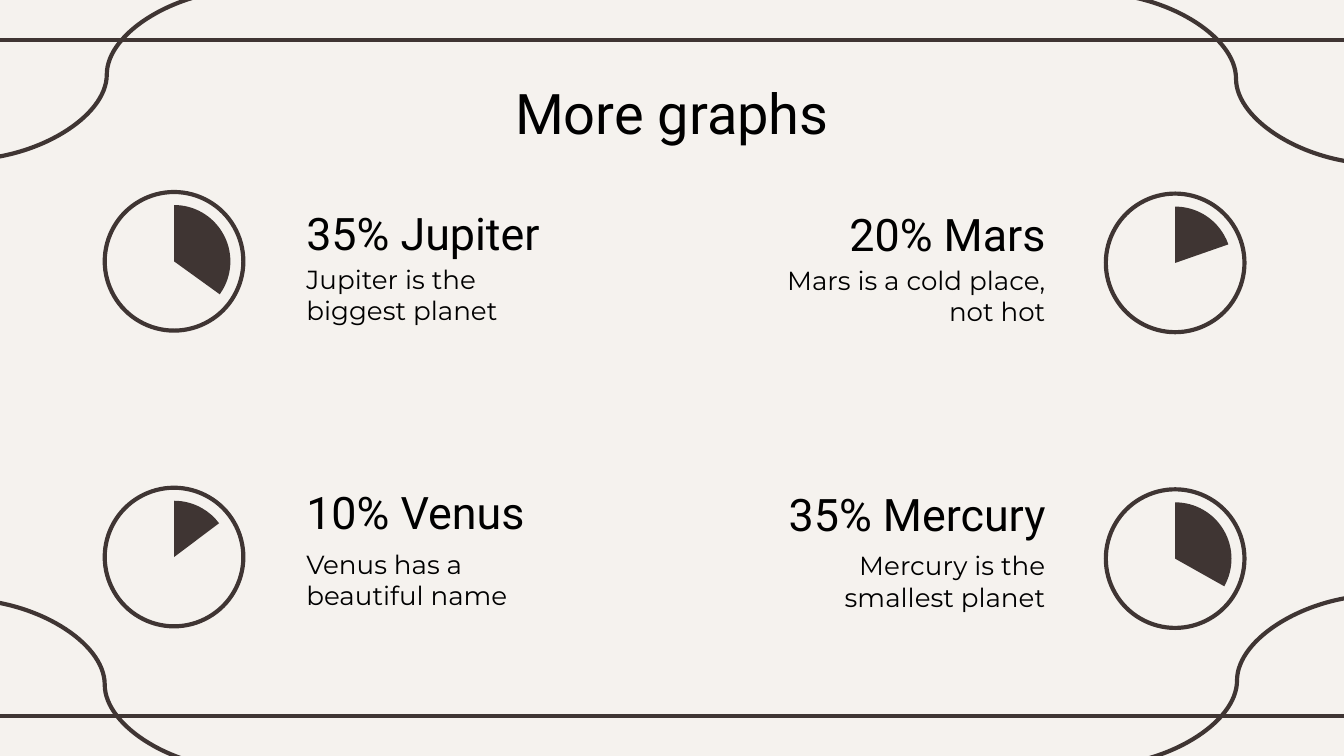
import pptx
import pptx.util
import pptx.dml.color
import pptx.enum.shapes
import pptx.enum.text
import pptx.oxml.ns
from dataclasses import dataclass
from lxml import etree

Cm, Pt = pptx.util.Cm, pptx.util.Pt
RGB = pptx.dml.color.RGBColor
Shape = pptx.enum.shapes.MSO_SHAPE
Connector = pptx.enum.shapes.MSO_CONNECTOR
Align = pptx.enum.text.PP_ALIGN


@dataclass(frozen=True)
class Theme:
    paper: RGB = RGB(0xF5, 0xF2, 0xEE)
    ink: RGB = RGB(0x3F, 0x35, 0x33)
    text: RGB = RGB(0, 0, 0)
    heading_font: str = "Roboto"
    body_font: str = "Montserrat"
    title_size: Pt = Pt(30)
    heading_size: Pt = Pt(24)
    body_size: Pt = Pt(14)
    stroke: Pt = Pt(2.25)


theme = Theme()


def write(holder, text, font_name, size, align):
    """Fill a text holder with one top-anchored paragraph."""
    frame = holder.text_frame
    frame.text = text
    frame.word_wrap = True
    frame.auto_size = pptx.enum.text.MSO_AUTO_SIZE.NONE
    frame.vertical_anchor = pptx.enum.text.MSO_ANCHOR.TOP
    frame.margin_left = frame.margin_right = Cm(0.25)
    frame.margin_top = frame.margin_bottom = Cm(0.25)
    paragraph = frame.paragraphs[0]
    paragraph.alignment = align
    font = paragraph.runs[0].font
    font.name, font.size = font_name, size
    font.color.rgb = theme.text


def draw_line(kind, *ends):
    line = slide.shapes.add_connector(kind, *(Cm(end) for end in ends))
    line.line.color.rgb = theme.ink
    line.line.width = theme.stroke
    etree.SubElement(line._element.spPr, pptx.oxml.ns.qn("a:effectLst"))


deck = pptx.Presentation()
deck.slide_width, deck.slide_height = Cm(25.4), Cm(14.29)
slide = deck.slides.add_slide(deck.slide_layouts[5])
slide.background.fill.solid()
slide.background.fill.fore_color.rgb = theme.paper

# Frame: two rules and a curve in each corner
for rule_y in (0.76, 13.54):
    draw_line(Connector.STRAIGHT, -0.2, rule_y, 25.6, rule_y)
for corner in (
    (-0.69, 11.33, 4.65, 14.55),
    (20.68, -0.13, 26.04, 3.1),
    (26.06, 11.25, 20.7, 14.48),
    (4.7, -0.2, -0.66, 3.02),
):
    draw_line(Connector.CURVE, *corner)

title = slide.shapes.title
title.left, title.top, title.width, title.height = Cm(1.98), Cm(1.24), Cm(21.44), Cm(1.6)
write(title, "More graphs", theme.heading_font, theme.title_size, Align.CENTER)

# Columns: text left, dial left, vertical shift, alignment
columns = ((5.54, 1.98, 0, Align.LEFT), (14.6, 20.9, 0.03, Align.RIGHT))
# Rows: heading top, body top, dial top
rows = ((3.63, 4.72, 3.63), (8.92, 10.11, 9.22))
# Planets: column, row, heading, body, wedge sweep in degrees
planets = (
    (0, 0, "35% Jupiter", "Jupiter is the biggest planet", 125.77),
    (0, 1, "10% Venus", "Venus has a beautiful name", 53.07),
    (1, 0, "20% Mars", "Mars is a cold place, not hot", 70.77),
    (1, 1, "35% Mercury", "Mercury is the smallest planet", 119.33),
)
text_width, heading_height, body_height = 5.41, 1.37, 1.73
ring_size, wedge_size = 2.62, 2.13
wedge_inset = (ring_size - wedge_size) / 2
ADJUSTMENT_PER_DEGREE = 0.6  # 60000 angle units per degree, scaled by 100000

for column, row, heading, body, sweep in planets:
    text_left, dial_left, shift, align = columns[column]
    heading_top, body_top, dial_top = (top + shift for top in rows[row])

    for text, top, height, font_name, size in (
        (body, body_top, body_height, theme.body_font, theme.body_size),
        (heading, heading_top, heading_height, theme.heading_font, theme.heading_size),
    ):
        box = slide.shapes.add_textbox(Cm(text_left), Cm(top), Cm(text_width), Cm(height))
        write(box, text, font_name, size, align)

    dial = slide.shapes.add_group_shape().shapes
    ring = dial.add_shape(Shape.OVAL, Cm(dial_left), Cm(dial_top), Cm(ring_size), Cm(ring_size))
    ring.shadow.inherit = False
    ring.fill.background()
    ring.line.color.rgb = theme.ink
    ring.line.width = theme.stroke

    wedge = dial.add_shape(Shape.PIE, Cm(dial_left + wedge_inset), Cm(dial_top + wedge_inset),
                           Cm(wedge_size), Cm(wedge_size))
    wedge.shadow.inherit = False
    wedge.rotation = 270
    wedge.adjustments[0] = 0
    wedge.adjustments[1] = sweep * ADJUSTMENT_PER_DEGREE
    wedge.fill.solid()
    wedge.fill.fore_color.rgb = theme.ink
    wedge.line.fill.background()

deck.save("out.pptx")
